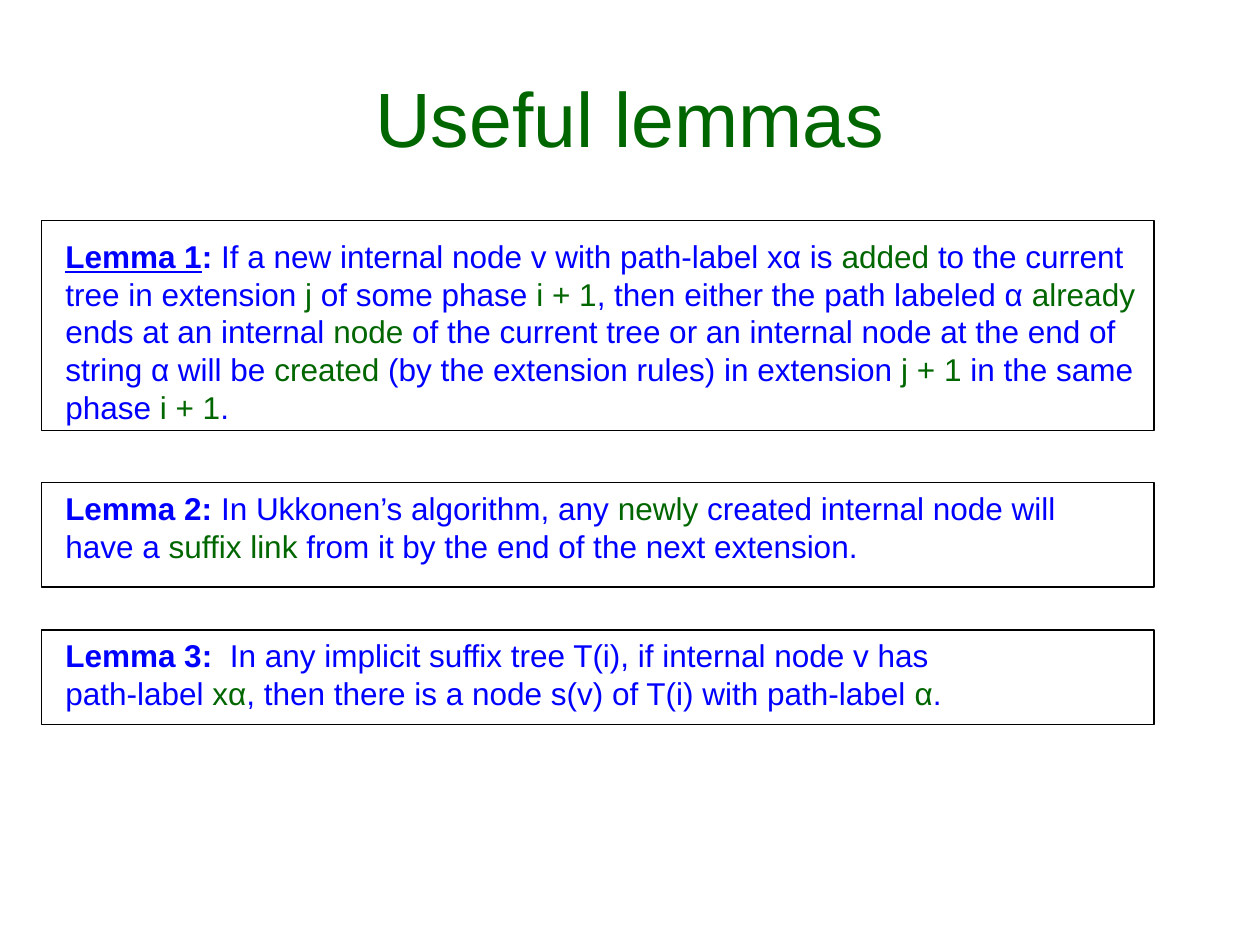
from pptx import Presentation
from pptx.dml.color import RGBColor
from pptx.enum.shapes import MSO_SHAPE
from pptx.enum.text import MSO_ANCHOR, MSO_AUTO_SIZE, PP_ALIGN
from pptx.util import Inches, Pt

GREEN, BLUE, BLACK = "006600", "0000FF", "000000"
FRAME_LEFT, FRAME_WIDTH = 0.33, 8.83
TEXT_LEFT = 0.42

# Words between asterisks are highlighted in green.
LEMMAS = [
    {"heading": "Lemma 1", "colon": ": ", "underline": True,
     "frame": (1.75, 1.67), "text_area": (1.83, 9.08, 1.6),
     "statement": "If a new internal node v with path-label xα is *added* to the current "
                  "tree in extension *j* of some phase *i + 1*, then either the path "
                  "labeled α *already* ends at an internal *node* of the current tree or "
                  "an internal node at the end of string α will be *created* (by the "
                  "extension rules) in extension *j + 1* in the same phase *i + 1*."},
    {"heading": "Lemma 2", "colon": ":", "underline": False,
     "frame": (3.83, 0.83), "text_area": (3.83, 8.17, 0.7),
     "statement": " In Ukkonen’s algorithm, any *newly* created internal node will have "
                  "a *suffix link* from it by the end of the next extension."},
    {"heading": "Lemma 3", "colon": ":", "underline": False,
     "frame": (5, 0.75), "text_area": (5, 7.25, 0.7),
     "statement": "  In any implicit suffix tree T(i), if internal node v has path-label "
                  "*xα*, then there is a node s(v) of T(i) with path-label *α*."},
]


def color(hex_string):
    return RGBColor.from_string(hex_string)


def format_span(span, size, hex_string, bold=False, underline=False):
    font = span.font
    font.name, font.size = "Arial", Pt(size)
    font.bold, font.underline = bold, underline
    font.color.rgb = color(hex_string)


def add_span(para, text, hex_string, **style):
    span = para.add_run()
    span.text = text
    format_span(span, 18, hex_string, **style)


def fill_title(title, left, top, width, height):
    title.left, title.top = Inches(left), Inches(top)
    title.width, title.height = Inches(width), Inches(height)
    title.text_frame.text = "Useful lemmas"
    title.text_frame.vertical_anchor = MSO_ANCHOR.MIDDLE
    para = title.text_frame.paragraphs[0]
    para.alignment = PP_ALIGN.CENTER
    format_span(para.runs[0], 44, GREEN)


def add_lemma_text(page, lemma):
    top, width, height = lemma["text_area"]
    box = page.shapes.add_textbox(Inches(TEXT_LEFT), Inches(top),
                                  Inches(width), Inches(height))
    box.text_frame.word_wrap = True
    box.text_frame.auto_size = MSO_AUTO_SIZE.SHAPE_TO_FIT_TEXT
    para = box.text_frame.paragraphs[0]
    para.space_before = Pt(11.2)
    add_span(para, lemma["heading"], BLUE, bold=True, underline=lemma["underline"])
    add_span(para, lemma["colon"], BLUE, bold=True)
    for index, part in enumerate(lemma["statement"].split("*")):
        add_span(para, part, GREEN if index % 2 else BLUE)


def add_frame(page, top, height):
    frame = page.shapes.add_shape(MSO_SHAPE.RECTANGLE, Inches(FRAME_LEFT), Inches(top),
                                  Inches(FRAME_WIDTH), Inches(height))
    frame.shadow.inherit = False
    frame.fill.background()
    frame.line.color.rgb = color(BLACK)
    frame.line.width = Pt(0.75)


def main():
    deck = Presentation()
    deck.slide_width, deck.slide_height = Inches(10), Inches(7.5)
    page = deck.slides.add_slide(deck.slide_layouts.get_by_name("Title Only"))
    fill_title(page.shapes.title, 0.5, 0.3, 9, 1.25)
    for lemma in LEMMAS:
        add_lemma_text(page, lemma)
    for lemma in LEMMAS:
        add_frame(page, *lemma["frame"])
    deck.save("out.pptx")


if __name__ == "__main__":
    main()
